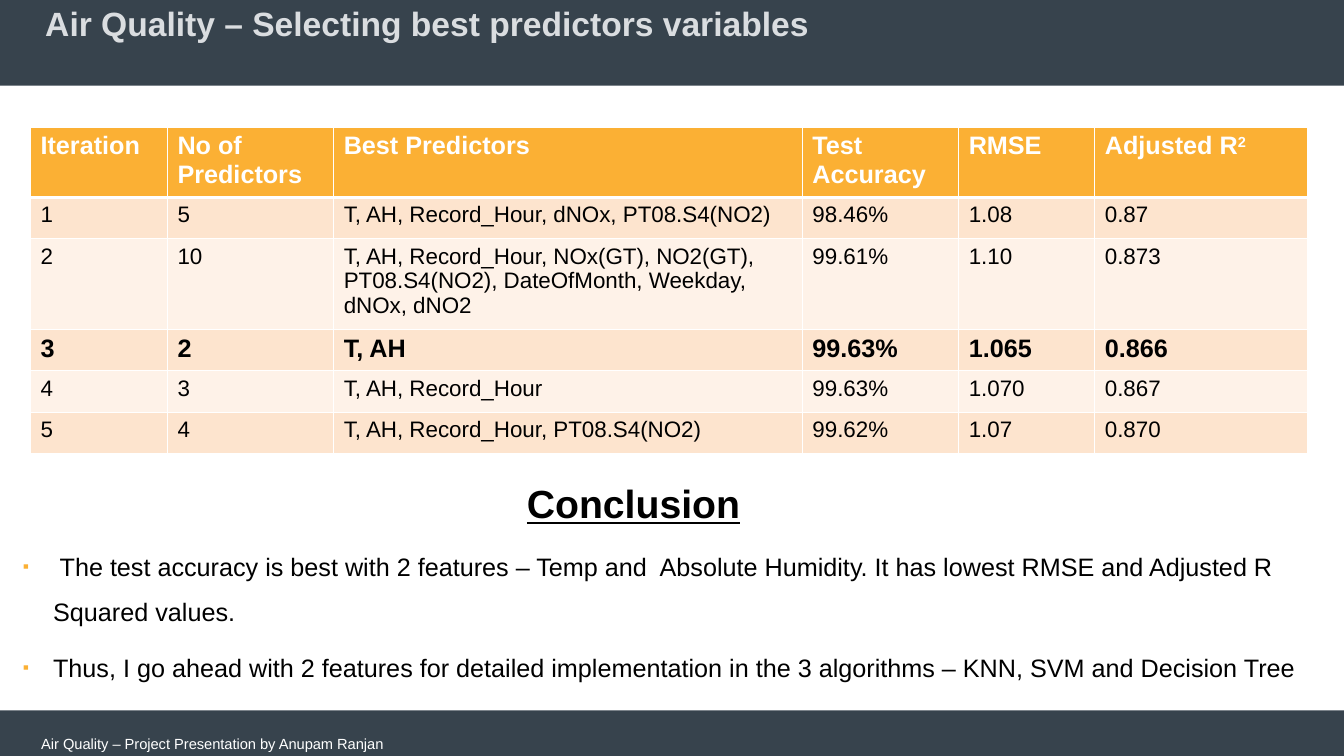
from lxml.etree import SubElement
from pptx import Presentation
from pptx.dml.color import RGBColor
from pptx.enum.shapes import MSO_SHAPE as Shape
from pptx.enum.text import MSO_ANCHOR as Anchor, PP_ALIGN as Align
from pptx.oxml.ns import qn
from pptx.util import Cm, Pt

COLORS = {
    "bar": "37434D", "title": "DADDE0", "accent": "FBB034", "white": "FFFFFF",
    "black": "000000", "odd": "FDE4CE", "even": "FEF2E8",
}
WIDTH, HEIGHT = 33.87, 19.05
COLUMN_WIDTHS = [3.45, 4.19, 11.81, 3.94, 3.43, 5.36]
ROW_HEIGHT = 1.04
BEST_ROW = 3
ROWS = [
    ["Iteration", "No of Predictors", "Best Predictors", "Test Accuracy", "RMSE", "Adjusted R"],
    ["1", "5", "T, AH, Record_Hour, dNOx, PT08.S4(NO2)", "98.46%", "1.08", "0.87"],
    ["2", "10", "T, AH, Record_Hour, NOx(GT), NO2(GT), PT08.S4(NO2), "
     "DateOfMonth, Weekday, dNOx, dNO2", "99.61%", "1.10", "0.873"],
    ["3", "2", "T, AH", "99.63%", "1.065", "0.866"],
    ["4", "3", "T, AH, Record_Hour", "99.63%", "1.070", "0.867"],
    ["5", "4", "T, AH, Record_Hour, PT08.S4(NO2)", "99.62%", "1.07", "0.870"],
]
FINDINGS = [
    " The test accuracy is best with 2 features – Temp and  Absolute Humidity. "
    "It has lowest RMSE and Adjusted R Squared values.",
    "Thus, I go ahead with 2 features for detailed implementation in the 3 algorithms "
    "– KNN, SVM and Decision Tree",
]


def color(name):
    return RGBColor.from_string(COLORS[name])


def style(para, size, tint, bold=False, underline=False):
    for span in para.runs:
        font = span.font
        font.name, font.size, font.bold = "Arial", Pt(size), bold
        font.underline = underline
        font.color.rgb = color(tint)


def add_bar(page, left, top, width, height):
    bar = page.shapes.add_shape(Shape.RECTANGLE, Cm(left), Cm(top), Cm(width), Cm(height))
    bar.shadow.inherit = False
    bar.fill.solid()
    bar.fill.fore_color.rgb = color("bar")
    bar.line.fill.background()


def add_label(page, text, left, top, width, height, size, tint, wrap=True, **emphasis):
    box = page.shapes.add_textbox(Cm(left), Cm(top), Cm(width), Cm(height))
    box.text_frame.word_wrap = wrap
    box.text_frame.text = text
    style(box.text_frame.paragraphs[0], size, tint, **emphasis)


def add_header(page, left, top, width, height):
    add_bar(page, left, top, width, height)
    title = page.shapes.title
    page.shapes._spTree.append(title._element)  # bring the title in front of the bar
    title.left, title.top = Cm(left + 0.84), Cm(top)
    title.width, title.height = Cm(width - 1.71), Cm(height - 0.08)
    frame = title.text_frame
    frame.vertical_anchor = Anchor.TOP
    frame.margin_left = frame.margin_right = Cm(0.3)
    frame.margin_top = frame.margin_bottom = Cm(0.07)
    frame.text = "Air Quality – Selecting best predictors variables"
    frame.paragraphs[0].alignment = Align.LEFT
    style(frame.paragraphs[0], 24, "title", bold=True)


def add_footer(page, left, top, width, height):
    add_bar(page, left, top, width, height)
    add_label(page, "Air Quality – Project Presentation by Anupam Ranjan",
              left + 0.79, top + 0.5, 14.45, 0.46, 10.5, "white")


def set_borders(cell, bottom_row_of_header, top_row_of_body):
    props = cell._tc.get_or_add_tcPr()
    widths = {"lnL": 1, "lnR": 1, "lnT": 3 if top_row_of_body else 1,
              "lnB": 3 if bottom_row_of_header else 1}
    for tag, points in widths.items():
        line = SubElement(props, qn("a:" + tag), w=str(Pt(points)))
        fill = SubElement(line, qn("a:solidFill"))
        SubElement(fill, qn("a:srgbClr"), val=COLORS["white"])


def add_results(page, left, top):
    frame = page.shapes.add_table(len(ROWS), len(COLUMN_WIDTHS), Cm(left), Cm(top),
                                  Cm(sum(COLUMN_WIDTHS)), Cm(ROW_HEIGHT * len(ROWS)))
    table = frame.table
    for column, width in zip(table.columns, COLUMN_WIDTHS):
        column.width = Cm(width)
    for r, values in enumerate(ROWS):
        table.rows[r].height = Cm(ROW_HEIGHT)
        header = r == 0
        strong = header or r == BEST_ROW
        shade = "accent" if header else "odd" if r % 2 else "even"
        for c, value in enumerate(values):
            cell = table.cell(r, c)
            cell.text = value
            para = cell.text_frame.paragraphs[0]
            if header and c == len(values) - 1:
                square = para.add_run()
                square.text = "2"
                square.font._element.set("baseline", "30000")
            style(para, 18 if strong else 16, "white" if header else "black", bold=strong)
            set_borders(cell, header, r == 1)
            cell.fill.solid()
            cell.fill.fore_color.rgb = color(shade)


def add_bullet(para):
    props = para._p.get_or_add_pPr()
    props.set("marL", str(Cm(0.76)))
    props.set("indent", str(-Cm(0.76)))
    tint = SubElement(props, qn("a:buClr"))
    SubElement(tint, qn("a:srgbClr"), val=COLORS["accent"])
    SubElement(props, qn("a:buSzPct"), val="70000")
    SubElement(props, qn("a:buFont"), typeface="Arial")
    SubElement(props, qn("a:buChar"), char="▪")


def add_conclusion(page, left, top, width, height):
    add_label(page, "Conclusion", left + 12.75, top, 5.94, 1.45, 28, "black",
              wrap=False, bold=True, underline=True)
    box = page.shapes.add_textbox(Cm(left), Cm(top + 1.4), Cm(width), Cm(height - 1.4))
    frame = box.text_frame
    frame.word_wrap = True
    frame.margin_left = frame.margin_right = Cm(0.3)
    frame.margin_top = frame.margin_bottom = Cm(0.15)
    for index, finding in enumerate(FINDINGS):
        para = frame.add_paragraph() if index else frame.paragraphs[0]
        para.text = finding
        add_bullet(para)
        para.line_spacing = 1.5
        if index:
            para.space_before = Pt(7.2)
        style(para, 18, "black")


def main():
    deck = Presentation()
    deck.slide_width, deck.slide_height = Cm(WIDTH), Cm(HEIGHT)
    page = deck.slides.add_slide(deck.slide_layouts[5])
    add_header(page, 0, 0, WIDTH, 2.16)
    add_footer(page, 0, 17.9, WIDTH, HEIGHT - 17.9)
    add_results(page, 0.77, 3.2)
    add_conclusion(page, 0.28, 11.96, 33.25, 5.8)
    deck.save("out.pptx")


if __name__ == "__main__":
    main()
